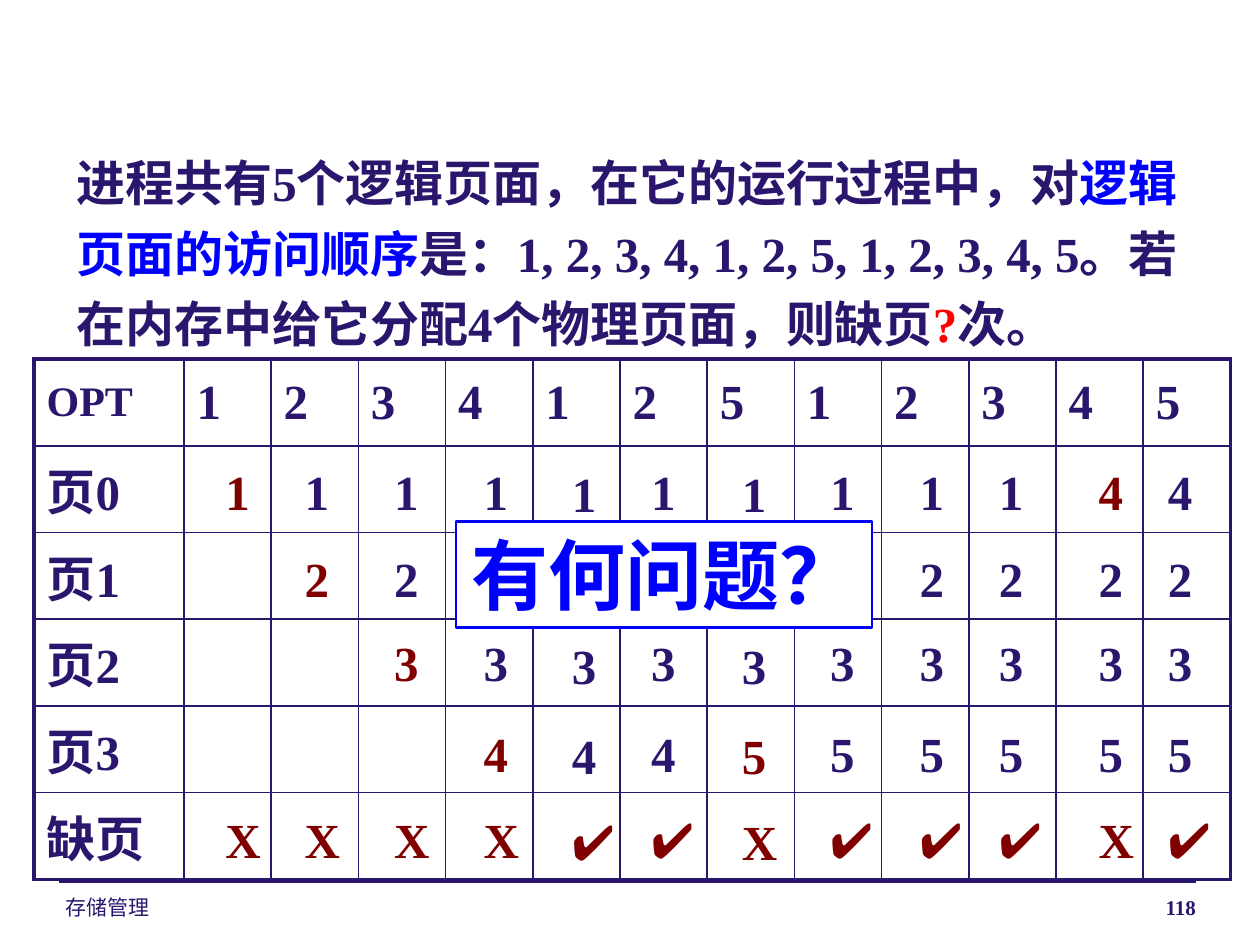
from dataclasses import dataclass

from lxml import etree
from pptx import Presentation
from pptx.dml.color import RGBColor
from pptx.enum.shapes import MSO_CONNECTOR, MSO_SHAPE
from pptx.enum.text import MSO_ANCHOR, PP_ALIGN
from pptx.oxml.ns import qn
from pptx.util import Inches, Pt

LEFT, CENTER, RIGHT = PP_ALIGN.LEFT, PP_ALIGN.CENTER, PP_ALIGN.RIGHT
TOP, MIDDLE = MSO_ANCHOR.TOP, MSO_ANCHOR.MIDDLE


@dataclass(frozen=True)
class Theme:
    ink: str = "2B166E"
    accent: str = "0000FF"
    alert: str = "FF0000"
    fault: str = "800000"
    paper: str = "FFFFFF"
    serif: str = "Times New Roman"
    sans: str = "Arial"
    footer: int = 12
    heading: int = 24
    body: int = 28
    callout: int = 44
    inner_border: float = 1
    outer_border: float = 2.25


theme = Theme()


def write(paragraph, pieces, size, font=theme.serif, bold=True, align=LEFT):
    """Fill a paragraph with (text, colour) runs in one type style."""
    paragraph.alignment = align
    for text, color in pieces:
        run = paragraph.add_run()
        run.text = text
        run.font.size = Pt(size)
        run.font.name = font
        run.font.bold = bold
        run.font.color.rgb = RGBColor.from_string(color)


def set_border(cell, side, width):
    border = etree.SubElement(cell._tc.get_or_add_tcPr(), qn(f"a:ln{side}"), w=str(Pt(width)))
    fill = etree.SubElement(border, qn("a:solidFill"))
    etree.SubElement(fill, qn("a:srgbClr"), val=theme.ink)


prs = Presentation()
prs.slide_width, prs.slide_height = Inches(10), Inches(7.5)
slide = prs.slides.add_slide(prs.slide_layouts[6])

# Footer
footer_rule = slide.shapes.add_connector(
    MSO_CONNECTOR.STRAIGHT, Inches(0.47), Inches(7), Inches(9.49), Inches(7))
footer_rule.line.color.rgb = RGBColor.from_string(theme.ink)
footer_rule.line.width = Pt(0.75)
etree.SubElement(footer_rule._element.spPr, qn("a:effectLst"))

for text, left, width, font, bold, align in (
    ("存储管理", 0.42, 2.33, theme.sans, False, LEFT),
    ("118", 6.42, 3.17, theme.serif, True, RIGHT),
):
    footer = slide.shapes.add_textbox(Inches(left), Inches(7.05), Inches(width), Inches(0.24))
    footer.text_frame.word_wrap = True
    write(footer.text_frame.paragraphs[0], [(text, theme.ink)], theme.footer, font, bold, align)

# Question
question = slide.shapes.add_textbox(Inches(0.51), Inches(1.07), Inches(9.14), Inches(1.8))
question.text_frame.word_wrap = True
question_text = question.text_frame.paragraphs[0]
question_text.line_spacing = 1.2
write(question_text, [
    ("进程共有5个逻辑页面，在它的运行过程中，对", theme.ink),
    ("逻辑页面的访问顺序", theme.accent),
    ("是：1, 2, 3, 4, 1, 2, 5, 1, 2, 3, 4, 5。若在内存中给它分配4个物理页面，则缺页", theme.ink),
    ("?", theme.alert),
    ("次。", theme.ink),
], theme.body)

# Page table: reference string across the top, physical frames down the side
references = "123412512345"
row_labels = ["OPT", "页0", "页1", "页2", "页3", "缺页"]
row_count, column_count = len(row_labels), len(references) + 1
label_width, table_width, table_height = 1.19, 9.5, 4.13

table = slide.shapes.add_table(
    row_count, column_count, Inches(0.27), Inches(2.85),
    Inches(table_width), Inches(table_height)).table
table.first_row = table.horz_banding = False
for index, column in enumerate(table.columns):
    column.width = Inches((table_width - label_width) / len(references) if index else label_width)
for row in table.rows:
    row.height = Inches(table_height / row_count)

for r, label in enumerate(row_labels):
    for c in range(column_count):
        cell = table.cell(r, c)
        cell.vertical_anchor = MIDDLE
        for side, is_outer in (("L", c == 0), ("R", c == column_count - 1),
                               ("T", r == 0), ("B", r == row_count - 1)):
            set_border(cell, side, theme.outer_border if is_outer else theme.inner_border)
        cell.fill.background()
        text = label if c == 0 else references[c - 1] if r == 0 else ""
        if text:
            size = theme.heading if r == c == 0 else theme.body
            write(cell.text_frame.paragraphs[0], [(text, theme.ink)], size)

# Frame contents after each reference; a changed frame is a page fault
callout_left, callout_top, callout_width, callout_height = 3.62, 4.14, 3.3, 0.84
mark_rows = [(3.67, False), (4.36, True), (5.03, True), (5.75, False), (6.43, False)]
steps = [
    (1.69, 0, "1   "), (2.32, 0, "12  "), (3.03, 0, "123 "), (3.74, 0, "1234"),
    (4.44, 0.02, "1234"), (5.07, 0, "1234"), (5.79, 0.02, "1235"), (6.49, 0, "1235"),
    (7.2, 0, "1235"), (7.83, 0, "1235"), (8.62, 0, "4235"), (9.17, 0, "4235"),
]
previous = " " * 4
for left, drop, frames in steps:
    is_fault = frames != previous
    marks = [(page, theme.ink if page == old else theme.fault, theme.serif)
             for page, old in zip(frames, previous)]
    marks.append(("X", theme.fault, theme.serif) if is_fault else ("✔", theme.fault, theme.sans))
    step_group = slide.shapes.add_group_shape()
    for (top, is_filled), (text, color, font) in zip(mark_rows, marks):
        is_covered = (callout_left <= left < callout_left + callout_width
                      and callout_top <= top < callout_top + callout_height)
        if text == " " or is_covered:
            continue
        box = Inches(left), Inches(top + drop), Inches(0.32), Inches(0.45)
        if is_filled:
            mark = step_group.shapes.add_shape(MSO_SHAPE.RECTANGLE, *box)
            mark.shadow.inherit = False
            mark.fill.solid()
            mark.fill.fore_color.rgb = RGBColor.from_string(theme.paper)
            mark.line.fill.background()
        else:
            mark = step_group.shapes.add_textbox(*box)
        mark.text_frame.word_wrap = False
        mark.text_frame.vertical_anchor = MIDDLE
        write(mark.text_frame.paragraphs[0], [(text, color)], theme.body, font)
    previous = frames

# Callout
callout = slide.shapes.add_shape(
    MSO_SHAPE.RECTANGLE, Inches(callout_left), Inches(callout_top),
    Inches(callout_width), Inches(callout_height))
callout.shadow.inherit = False
callout.fill.solid()
callout.fill.fore_color.rgb = RGBColor.from_string(theme.paper)
callout.line.color.rgb = RGBColor.from_string(theme.accent)
callout.line.width = Pt(1.5)
callout.text_frame.word_wrap = False
callout.text_frame.vertical_anchor = TOP
write(callout.text_frame.paragraphs[0], [("有何问题？", theme.accent)], theme.callout, align=CENTER)

prs.save("out.pptx")
